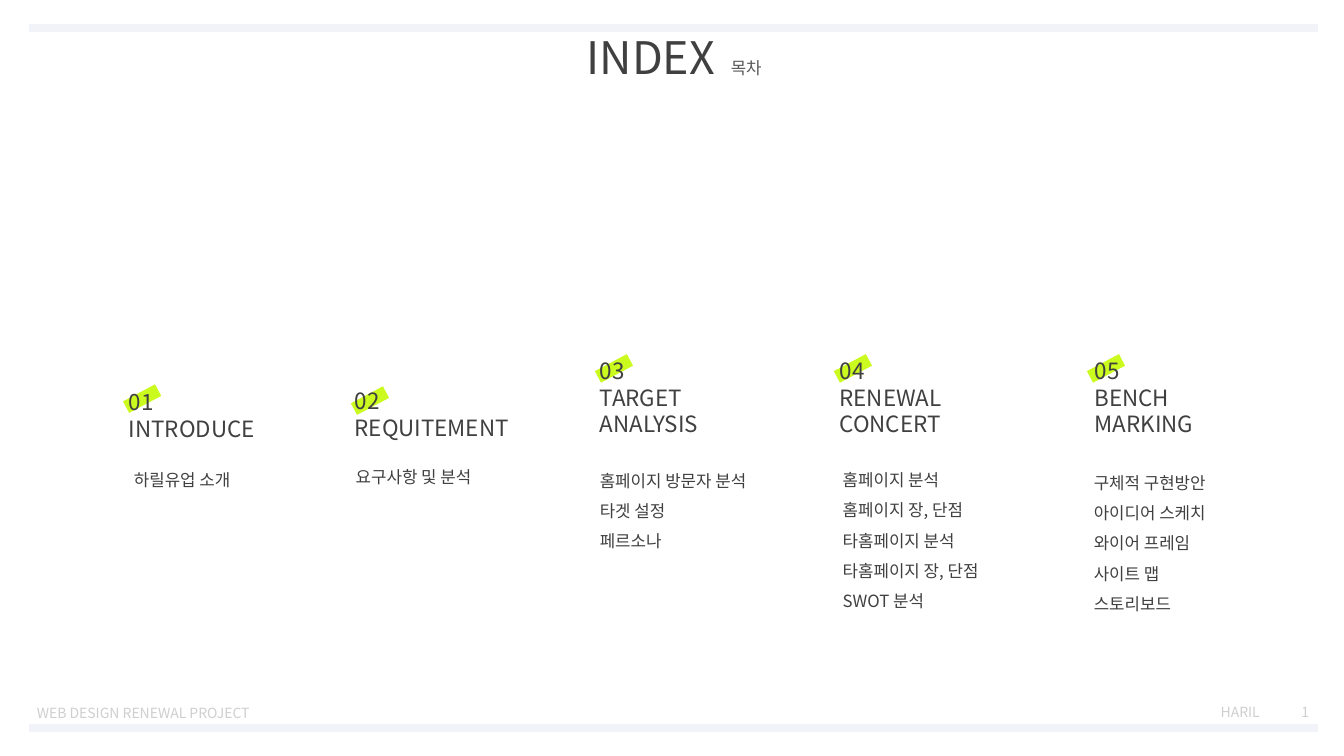
import pptx
import pptx.dml.color
import pptx.enum.shapes
import pptx.enum.text
import pptx.oxml
import pptx.oxml.ns
import pptx.util
from pptx.util import Inches

FONT = "Noto Sans CJK KR"
DARK = "404040"
PALE = "D0CECE"
LEFT = pptx.enum.text.PP_ALIGN.LEFT
CENTER = pptx.enum.text.PP_ALIGN.CENTER


def color(hex_string):
    return pptx.dml.color.RGBColor.from_string(hex_string)


def add_text(parent, place, lines, size, ink=DARK, align=LEFT, spacing=None):
    box = parent.add_textbox(*map(Inches, place))
    frame = box.text_frame
    frame.word_wrap = True
    frame.vertical_anchor = pptx.enum.text.MSO_ANCHOR.MIDDLE
    for index, line in enumerate(lines):
        para = frame.add_paragraph() if index else frame.paragraphs[0]
        para.text = line
        para.alignment = align
        if spacing:
            para.line_spacing = spacing
        para.font.size = pptx.util.Pt(size)
        para.font.color.rgb = color(ink)
        para.font.name = FONT
        defaults = para._p.pPr.find(pptx.oxml.ns.qn("a:defRPr"))
        east_asian = pptx.oxml.parse_xml(
            f'<a:ea {pptx.oxml.ns.nsdecls("a")} typeface="{FONT}"/>')
        defaults.append(east_asian)


deck = pptx.Presentation()
deck.slide_width = Inches(13.33)
deck.slide_height = Inches(7.5)
page = deck.slides.add_slide(deck.slide_layouts[6])

for left, top in [(5.91, 3.59), (8.28, 3.59), (10.79, 3.59), (3.49, 3.91), (1.23, 3.89)]:
    highlight = page.shapes.add_shape(
        pptx.enum.shapes.MSO_SHAPE.RECTANGLE,
        Inches(left), Inches(top), Inches(0.36), Inches(0.13))
    highlight.rotation = 332
    highlight.shadow.inherit = False
    highlight.fill.solid()
    highlight.fill.fore_color.rgb = color("CBFA1E")
    highlight.line.fill.background()

add_text(page.shapes, (5.63, 0.38, 1.65, 0.37), ["INDEX"], 32, align=CENTER)

sections = [
    ((1.18, 3.88, 1.57, 0.47), ["01 INTRODUCE"],
     (1.23, 4.66, 1.25, 0.2), ["하릴유업 소개"]),
    ((3.42, 3.83, 1.8, 0.56), ["02", "REQUITEMENT"],
     (3.43, 4.63, 1.4, 0.2), ["요구사항 및 분석"]),
    ((5.85, 3.5, 1.35, 0.88), ["03", "TARGET", "ANALYSIS"],
     (5.85, 4.69, 1.68, 0.66), ["홈페이지 방문자 분석", "타겟 설정", "페르소나"]),
    ((8.23, 3.49, 1.26, 0.9), ["04", "RENEWAL", "CONCERT"],
     (8.26, 4.6, 1.57, 1.42),
     ["홈페이지 분석", "홈페이지 장, 단점", "타홈페이지 분석", "타홈페이지 장, 단점", "SWOT 분석"]),
    ((10.76, 3.49, 1.28, 0.9), ["05", "BENCH", "MARKING"],
     (10.75, 4.56, 1.33, 1.56),
     ["구체적 구현방안", "아이디어 스케치", "와이어 프레임", "사이트 맵", "스토리보드"]),
]
for heading_place, heading, topics_place, topics in sections:
    section = page.shapes.add_group_shape()
    add_text(section.shapes, heading_place, heading, 16)
    add_text(section.shapes, topics_place, topics, 12,
             spacing=1.5 if len(topics) > 1 else None)

add_text(page.shapes, (7.15, 0.57, 0.54, 0.2), ["목차"], 12, "595959")

for height in (0.28, 7.22):
    rule = page.shapes.add_connector(
        pptx.enum.shapes.MSO_CONNECTOR.STRAIGHT,
        Inches(0.29), Inches(height), Inches(13.07), Inches(height))
    rule.line.color.rgb = color("F2F3F8")
    rule.line.width = pptx.util.Pt(6)
    rule._element.spPr.append(
        pptx.oxml.parse_xml(f'<a:effectLst {pptx.oxml.ns.nsdecls("a")}/>'))

footers = [
    ((0.18, 6.92, 2.48, 0.31), "WEB DESIGN RENEWAL PROJECT"),
    ((11.99, 6.91, 0.62, 0.31), "HARIL"),
    ((12.81, 6.91, 0.25, 0.31), "1"),
]
for place, label in footers:
    add_text(page.shapes, place, [label], 10, PALE, CENTER)

deck.save("out.pptx")
